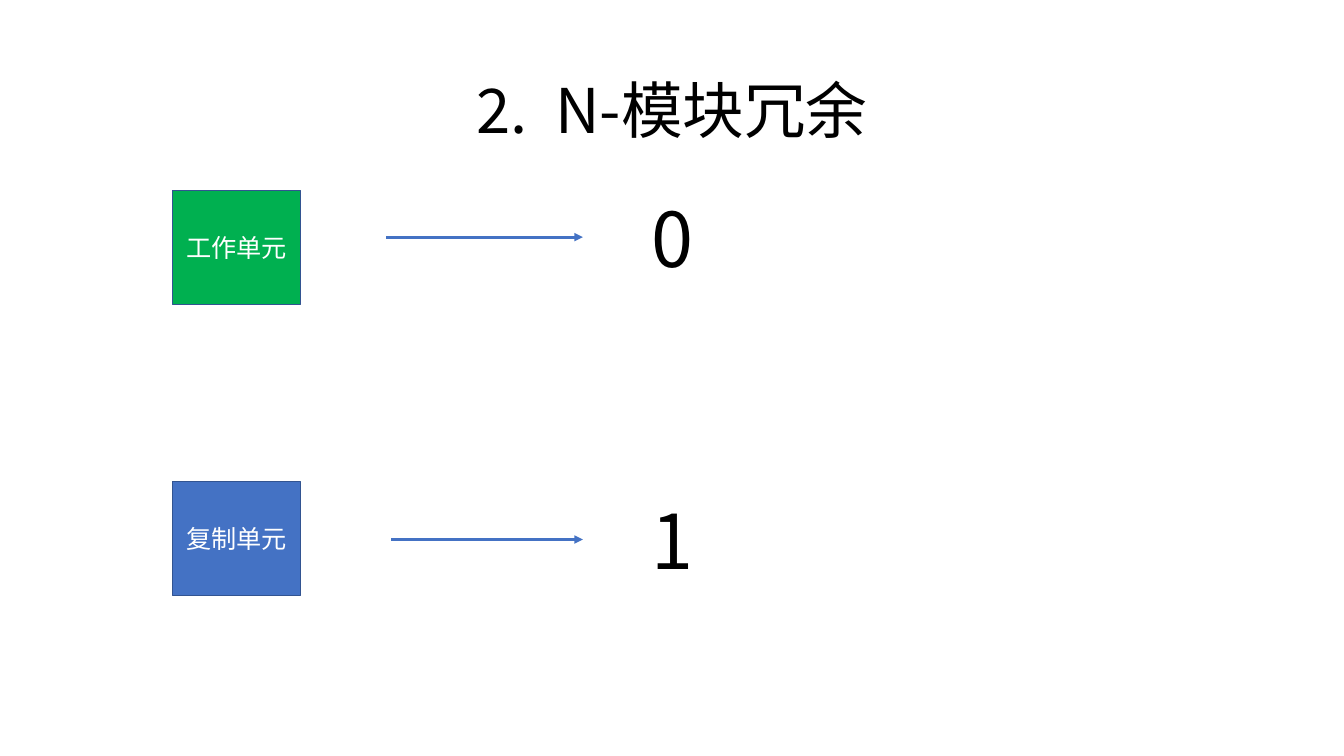
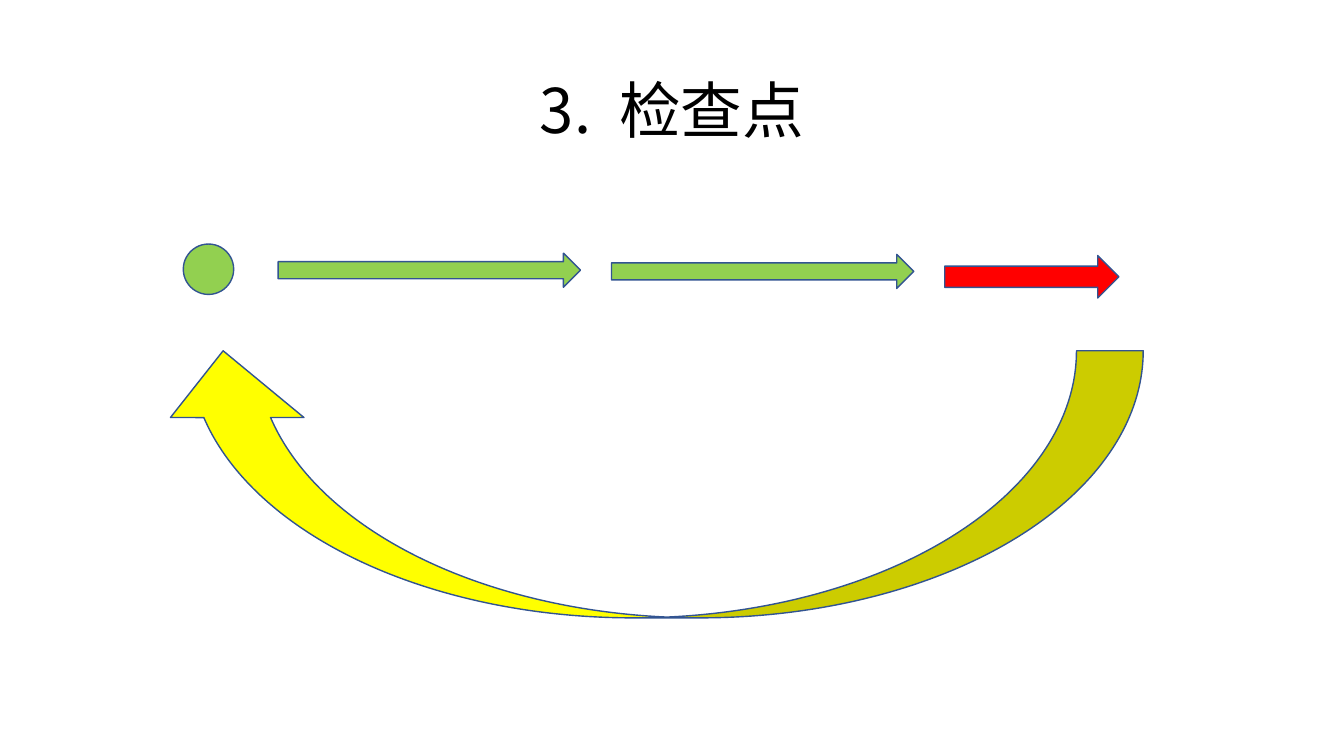
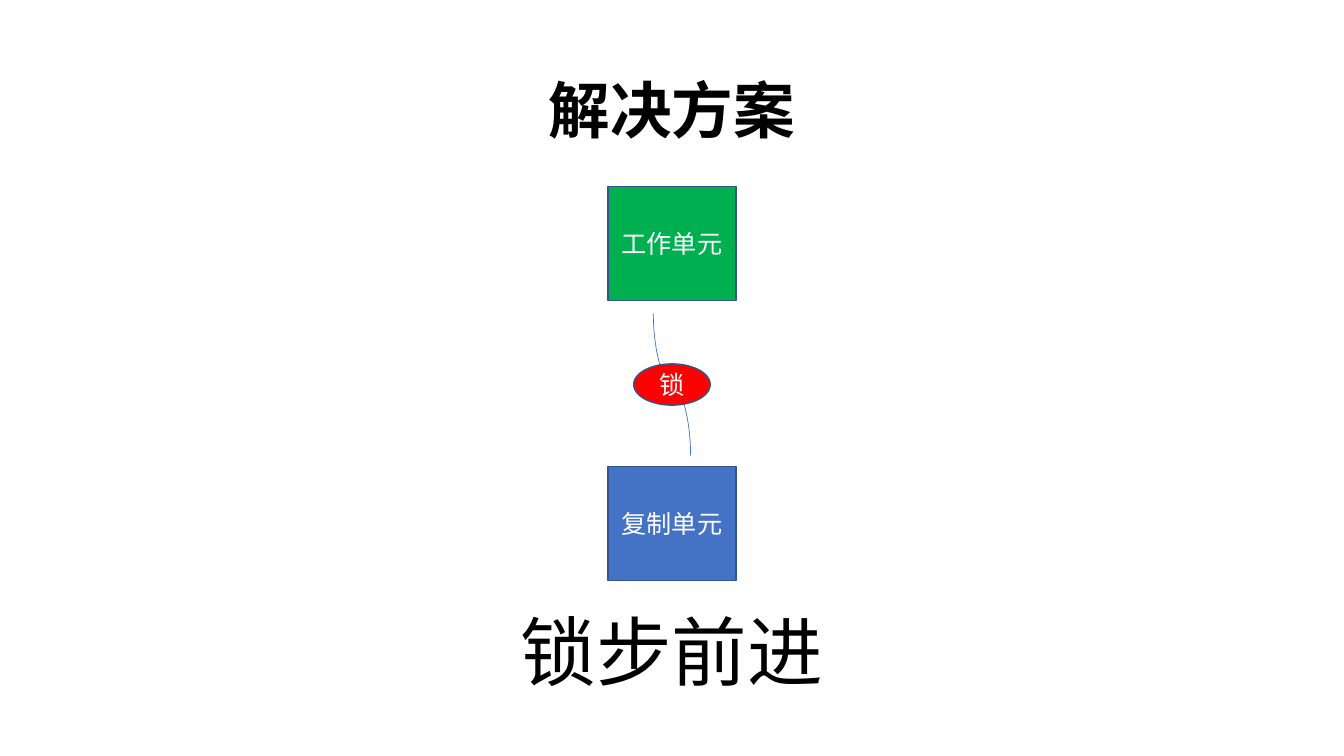
from dataclasses import dataclass

from lxml.etree import SubElement
from pptx import Presentation
from pptx.dml.color import RGBColor
from pptx.enum.shapes import MSO_CONNECTOR as Link, MSO_SHAPE as Shape
from pptx.enum.text import MSO_ANCHOR as Anchor, MSO_AUTO_SIZE as Fit, PP_ALIGN as Align
from pptx.oxml.ns import qn
from pptx.util import Cm, Pt


@dataclass(frozen=True)
class Theme:
    font: str = "Noto Sans CJK SC"
    ink: str = "000000"
    paper: str = "FFFFFF"
    work: str = "00B050"
    blue: str = "4472C4"
    outline: str = "325491"
    step: str = "92D050"
    alert: str = "FF0000"
    rollback: str = "FFFF00"
    title_size: int = 44
    label_size: int = 18
    large_size: int = 54
    number_gap: int = 10  # extra points after a title number


THEME = Theme()
PAGE_W, PAGE_H = 33.87, 19.05
TITLE_BOX = (2.33, 1.02, 29.21, 3.68)
UNIT_W, UNIT_H = 3.22, 2.87
LARGE_H = 2.57


def lengths(*values):
    return [Cm(value) for value in values]


def assign(target, formats):
    for name, value in formats.items():
        setattr(target, name, value)


# Text
def add_span(para, text, size, color, bold=False):
    span = para.add_run()
    span.text = text
    assign(span.font, {"name": THEME.font, "size": Pt(size), "bold": bold})
    span.font.color.rgb = RGBColor.from_string(color)
    props = span.font._element
    SubElement(props, qn("a:ea"), typeface=THEME.font)
    return props


def add_title(page, text, number=None):
    frame = page.shapes.add_textbox(*lengths(*TITLE_BOX)).text_frame
    assign(frame, {"word_wrap": True, "vertical_anchor": Anchor.MIDDLE})
    para = frame.paragraphs[0]
    assign(para, {"alignment": Align.CENTER, "line_spacing": 0.9})
    if number:
        add_span(para, number, THEME.title_size, THEME.ink)
        space = add_span(para, " ", THEME.title_size, THEME.ink)
        space.set("spc", str(THEME.number_gap * 100))
    add_span(para, text, THEME.title_size, THEME.ink, bold=not number)


def add_large_text(page, text, box):
    frame = page.shapes.add_textbox(*lengths(*box)).text_frame
    assign(frame, {"word_wrap": False, "auto_size": Fit.SHAPE_TO_FIT_TEXT})
    para = frame.paragraphs[0]
    para.alignment = Align.CENTER
    add_span(para, text, THEME.large_size, THEME.ink)


# Shapes and lines
def add_figure(page, kind, box, fill, label=None):
    figure = page.shapes.add_shape(kind, *lengths(*box))
    figure.shadow.inherit = False
    figure.fill.solid()
    figure.fill.fore_color.rgb = RGBColor.from_string(fill)
    figure.line.color.rgb = RGBColor.from_string(THEME.outline)
    figure.line.width = Pt(1)
    if label:
        frame = figure.text_frame
        assign(frame, {"word_wrap": True, "vertical_anchor": Anchor.MIDDLE})
        para = frame.paragraphs[0]
        para.alignment = Align.CENTER
        add_span(para, label, THEME.label_size, THEME.paper)
    return figure


def add_link(page, kind, ends, width, arrow=False):
    link = page.shapes.add_connector(kind, *lengths(*ends))
    link.line.color.rgb = RGBColor.from_string(THEME.blue)
    link.line.width = Pt(width)
    if arrow:
        SubElement(link.line._get_or_add_ln(), qn("a:tailEnd"), type="triangle")
    SubElement(link._element.spPr, qn("a:effectLst"))
    return link


def add_unit(page, left, top, label, fill):
    add_figure(page, Shape.RECTANGLE, (left, top, UNIT_W, UNIT_H), fill, label)


# Regions
def add_unit_output(page, left, top, label, fill, output, arrow_left, output_top):
    """A unit, with an arrow to the value it yields."""
    add_unit(page, left, top, label, fill)
    arrow_y = output_top + LARGE_H / 2 - 0.01
    add_link(page, Link.STRAIGHT,
             (left + arrow_left, arrow_y, left + 10.34, arrow_y), 2, arrow=True)
    add_large_text(page, output, (left + 11.82, output_top, 1.53, LARGE_H))


def add_timeline(page, left, top):
    """A start point, two good steps and one failed step."""
    dot = 1.27
    add_figure(page, Shape.FLOWCHART_CONNECTOR, (left, top, dot, dot), THEME.step)
    x = left + 2.39
    for drop, width, height, fill in (
        (0.23, 7.62, 0.86, THEME.step),
        (0.26, 7.62, 0.86, THEME.step),
        (0.29, 4.39, 1.07, THEME.alert),
    ):
        add_figure(page, Shape.RIGHT_ARROW, (x, top + drop, width, height), fill)
        x += width + 0.78


def add_rollback(page, left, top, width, height):
    """A curved arrow that sweeps from right to left within the box."""
    x, y = left + (width - height) / 2, top + (height - width) / 2
    arrow = add_figure(page, Shape.CURVED_LEFT_ARROW, (x, y, height, width), THEME.rollback)
    arrow.rotation = 90


def add_locked_pair(page, left, top):
    """Two units, joined by a curve with a lock on it."""
    centre = left + UNIT_W / 2
    add_unit(page, left, top, "工作单元", THEME.work)
    add_unit(page, left, top + 7.06, "复制单元", THEME.blue)
    span, sway, middle = 3.58, 0.94, top + 4.99
    curve = add_link(page, Link.CURVE,
                     (centre + span / 2, middle - sway / 2,
                      centre - span / 2, middle + sway / 2), 0.5)
    curve._element.spPr.find(qn("a:xfrm")).set("rot", str(270 * 60000))
    lock_w, lock_h = 1.93, 1.04
    add_figure(page, Shape.FLOWCHART_CONNECTOR,
               (centre - lock_w / 2, middle - lock_h / 2, lock_w, lock_h),
               THEME.alert, "锁")


# Slides
def build_redundancy(page):
    add_title(page, "N-模块冗余", "2.")
    add_unit_output(page, 4.35, 4.8, "工作单元", THEME.work, "0", 5.38, 4.7)
    add_unit_output(page, 4.35, 12.14, "复制单元", THEME.blue, "1", 5.51, 12.32)


def build_checkpoint(page):
    add_title(page, "检查点", "3.")
    add_timeline(page, 4.62, 6.15)
    add_rollback(page, 3.94, 8.84, 24.87, 6.73)


def build_solution(page):
    add_title(page, "解决方案")
    add_locked_pair(page, (PAGE_W - UNIT_W) / 2, 4.7)
    caption_w = 8.2
    add_large_text(page, "锁步前进", ((PAGE_W - caption_w) / 2, 15.11, caption_w, LARGE_H))


def main():
    deck = Presentation()
    assign(deck, {"slide_width": Cm(PAGE_W), "slide_height": Cm(PAGE_H)})
    for build in (build_redundancy, build_checkpoint, build_solution):
        build(deck.slides.add_slide(deck.slide_layouts[6]))
    deck.save("out.pptx")


if __name__ == "__main__":
    main()
